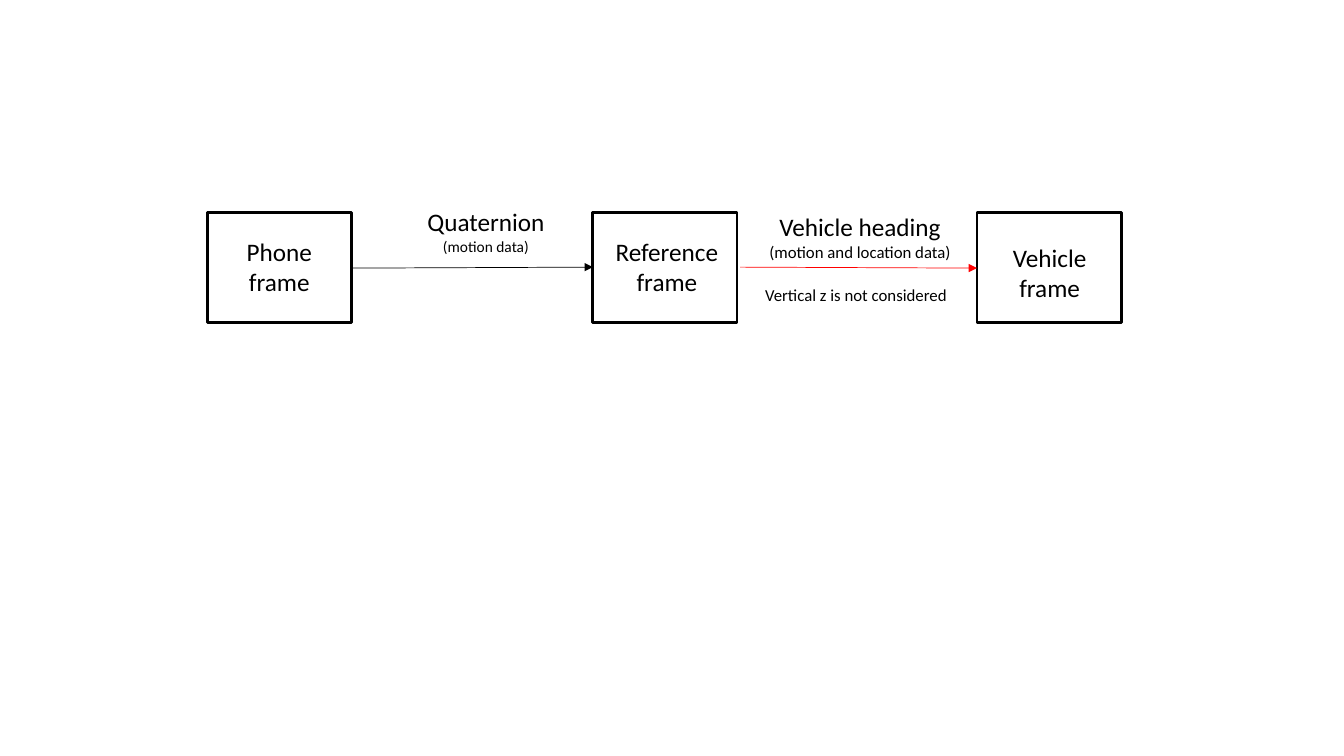
from pptx import Presentation
from pptx.dml.color import RGBColor
from pptx.enum.shapes import MSO_CONNECTOR, MSO_SHAPE
from pptx.enum.text import MSO_AUTO_SIZE, PP_ALIGN
from pptx.oxml.ns import qn
from pptx.util import Pt
from lxml import etree

RECTANGLE = MSO_SHAPE.RECTANGLE
STRAIGHT = MSO_CONNECTOR.STRAIGHT
GROW = MSO_AUTO_SIZE.SHAPE_TO_FIT_TEXT
LEFT, CENTER = PP_ALIGN.LEFT, PP_ALIGN.CENTER
EMU_PER_PX = 9144
BLANK_LAYOUT = 6


def px(*lengths):
    return [length * EMU_PER_PX for length in lengths]


def color(hex_string):
    return RGBColor.from_string(hex_string)


class Diagram:
    font = "Calibri"
    ink = "000000"
    accent = "FF0000"

    def __init__(self, slide):
        self.slide = slide

    def box(self, left, top, width, height):
        shape = self.slide.shapes.add_shape(RECTANGLE, *px(left, top, width, height))
        shape.shadow.inherit = False
        shape.fill.background()
        shape.line.color.rgb = color(self.ink)
        shape.line.width = Pt(2)

    def text(self, left, top, width, height, lines, alignment=CENTER):
        shape = self.slide.shapes.add_textbox(*px(left, top, width, height))
        frame = shape.text_frame
        frame.word_wrap = True
        frame.auto_size = GROW
        for index, (words, size) in enumerate(lines):
            paragraph = frame.add_paragraph() if index else frame.paragraphs[0]
            paragraph.alignment = alignment
            run = paragraph.add_run()
            run.text = words
            run.font.name = self.font
            run.font.size = Pt(size)
            run.font.color.rgb = color(self.ink)

    def arrow(self, start_x, start_y, end_x, end_y, line_color):
        connector = self.slide.shapes.add_connector(
            STRAIGHT, *px(start_x, start_y, end_x, end_y))
        connector.line.color.rgb = color(line_color)
        connector.line.width = Pt(0.5)
        line = connector.line._get_or_add_ln()
        etree.SubElement(line, qn("a:tailEnd"), type="triangle")
        etree.SubElement(connector._element.spPr, qn("a:effectLst"))


def main():
    presentation = Presentation()
    presentation.slide_width, presentation.slide_height = px(1333, 750)
    slide = presentation.slides.add_slide(presentation.slide_layouts[BLANK_LAYOUT])
    diagram = Diagram(slide)

    frames = [
        ("Phone frame", 213, 229, 128),
        ("Reference frame", 588, 229, 147),
        ("Vehicle frame", 977, 235, 128),
    ]
    for index, (name, left, top, width) in enumerate(frames):
        diagram.box(206 + round(index * 381.5), 211, 143, 109)
        diagram.text(left, top, width, 71, [(name, 18)])

    diagram.arrow(349, 266, 588, 265, diagram.ink)
    diagram.arrow(734, 265, 969, 266, diagram.accent)

    diagram.text(393, 200, 178, 61, [("Quaternion", 18), ("(motion data)", 11)])
    diagram.text(750, 205, 206, 61,
                 [("Vehicle heading", 18), ("(motion and location data)", 12)])
    diagram.text(749, 278, 228, 30, [("Vertical z is not considered", 12)], LEFT)

    presentation.save("out.pptx")


if __name__ == "__main__":
    main()
